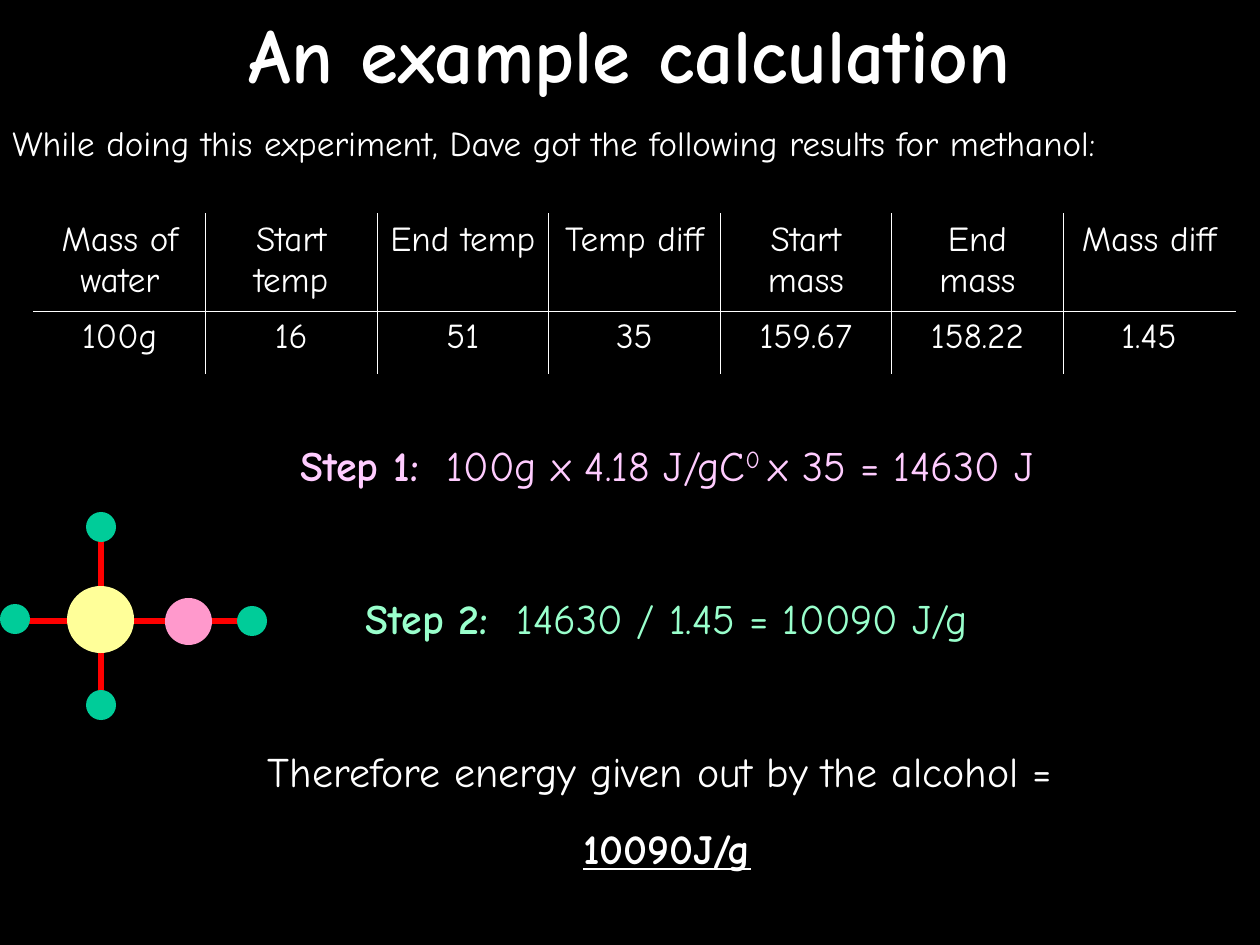
"""Build the "An example calculation" slide about the energy released by methanol."""
from lxml import etree
from pptx import Presentation
from pptx.dml.color import RGBColor
from pptx.enum.shapes import MSO_CONNECTOR, MSO_SHAPE
from pptx.enum.text import MSO_ANCHOR, PP_ALIGN
from pptx.oxml import parse_xml
from pptx.oxml.ns import nsdecls, qn
from pptx.util import Pt

PX = 914400 / 126
FONT = "Comic Neue"
WHITE, BLACK, RED, GREEN = "FFFFFF", "000000", "FF0000", "00CC99"
LEFT, CENTER = PP_ALIGN.LEFT, PP_ALIGN.CENTER
TOP, MIDDLE = MSO_ANCHOR.TOP, MSO_ANCHOR.MIDDLE
STRAIGHT, OVAL = MSO_CONNECTOR.STRAIGHT, MSO_SHAPE.OVAL


def emu(*lengths):
    return [round(n * PX) for n in lengths]


def add_run(p, text, size=24, color=WHITE, bold=False, underline=False, baseline=0):
    r = p.add_run()
    r.text = text
    r.font.name, r.font.size = FONT, Pt(size)
    r.font.bold, r.font.underline = bold, underline
    r.font.color.rgb = RGBColor.from_string(color)
    if baseline:
        r.font._element.set("baseline", str(baseline * 1000))


prs = Presentation()
prs.slide_width, prs.slide_height = emu(1260, 945)
s = prs.slides.add_slide(prs.slide_layouts[6])
s.background.fill.solid()
s.background.fill.fore_color.rgb = RGBColor.from_string(BLACK)

PINK, MINT = {"color": "FFCCFF"}, {"color": "99FFCC"}
BOLD = {"bold": True}
boxes = [
    ((0, 0, 1260, 106), MIDDLE, CENTER, [
        (0, [("An example calculation", {"size": 44, **BOLD})])]),
    ((0, 115, 1260, 55), TOP, LEFT, [
        (0, [("While doing this experiment, Dave got the following results for methanol:",
              {"size": 20})])]),
    ((74, 433, 1186, 446), TOP, CENTER, [
        (0, [("Step 1:", {**PINK, **BOLD}), ("  100g x 4.18 J/gC", PINK),
             ("0 ", {**PINK, "baseline": 30}), ("x 35 = 14630 J", PINK)]),
        (58.7, [("Step 2:", {**MINT, **BOLD}), ("  14630 / 1.45 = 10090 J/g", MINT)]),
        (58.7, [("Therefore energy given out by the alcohol = ", {})]),
        (15, [("10090J/g", {"underline": True, **BOLD})])]),
]
for place, anchor, align, paragraphs in boxes:
    tf = s.shapes.add_textbox(*emu(*place)).text_frame
    tf.word_wrap, tf.vertical_anchor = True, anchor
    for i, (before, runs) in enumerate(paragraphs):
        p = tf.add_paragraph() if i else tf.paragraphs[0]
        p.alignment = align
        if before:
            p.space_before = Pt(before)
        for text, style in runs:
            add_run(p, text, **style)

results = [
    ["Mass of water", "Start temp", "End temp", "Temp diff", "Start mass", "End mass", "Mass diff"],
    ["100g", "16", "51", "35", "159.67", "158.22", "1.45"],
]
rows, cols = len(results), len(results[0])
table = s.shapes.add_table(rows, cols, *emu(34, 214, 1201, 161)).table
table.first_row = table.horz_banding = False
for row, height in zip(table.rows, emu(97, 64)):
    row.height = height
for y, values in enumerate(results):
    for x, value in enumerate(values):
        cell = table.cell(y, x)
        cell.fill.background()
        p = cell.text_frame.paragraphs[0]
        p.alignment = CENTER
        add_run(p, value, size=20)
        outer = {"L": x == 0, "R": x == cols - 1, "T": y == 0, "B": y == rows - 1}
        for i, (side, is_outer) in enumerate(outer.items()):
            color, width = (BLACK, 1.08) if is_outer else (WHITE, 0.45)
            cell._tc.tcPr.insert(i, parse_xml(
                f'<a:ln{side} {nsdecls("a")} w="{Pt(width)}"><a:solidFill>'
                f'<a:srgbClr val="{color}"/></a:solidFill></a:ln{side}>'))

molecule = s.shapes.add_group_shape().shapes
bonds = [(21, 621, 83, 621), (101, 696, 101, 641), (127, 621, 244, 621), (101, 595, 101, 539)]
for bond in bonds:
    line = molecule.add_connector(STRAIGHT, *emu(*bond))
    line.line.width = Pt(3)
    line.line.color.rgb = RGBColor.from_string(RED)
    etree.SubElement(line._element.spPr, qn("a:effectLst"))

atoms = [
    (67, 586, 67, "FFFF99"), (86, 512, 30, GREEN), (86, 690, 30, GREEN),
    (0, 604, 30, GREEN), (237, 606, 30, GREEN), (165, 598, 47, "FF99CC"),
]
for left, top, size, color in atoms:
    atom = molecule.add_shape(OVAL, *emu(left, top, size, size))
    atom.shadow.inherit = False
    atom.fill.solid()
    atom.fill.fore_color.rgb = RGBColor.from_string(color)
    atom.line.fill.background()

prs.save("out.pptx")
